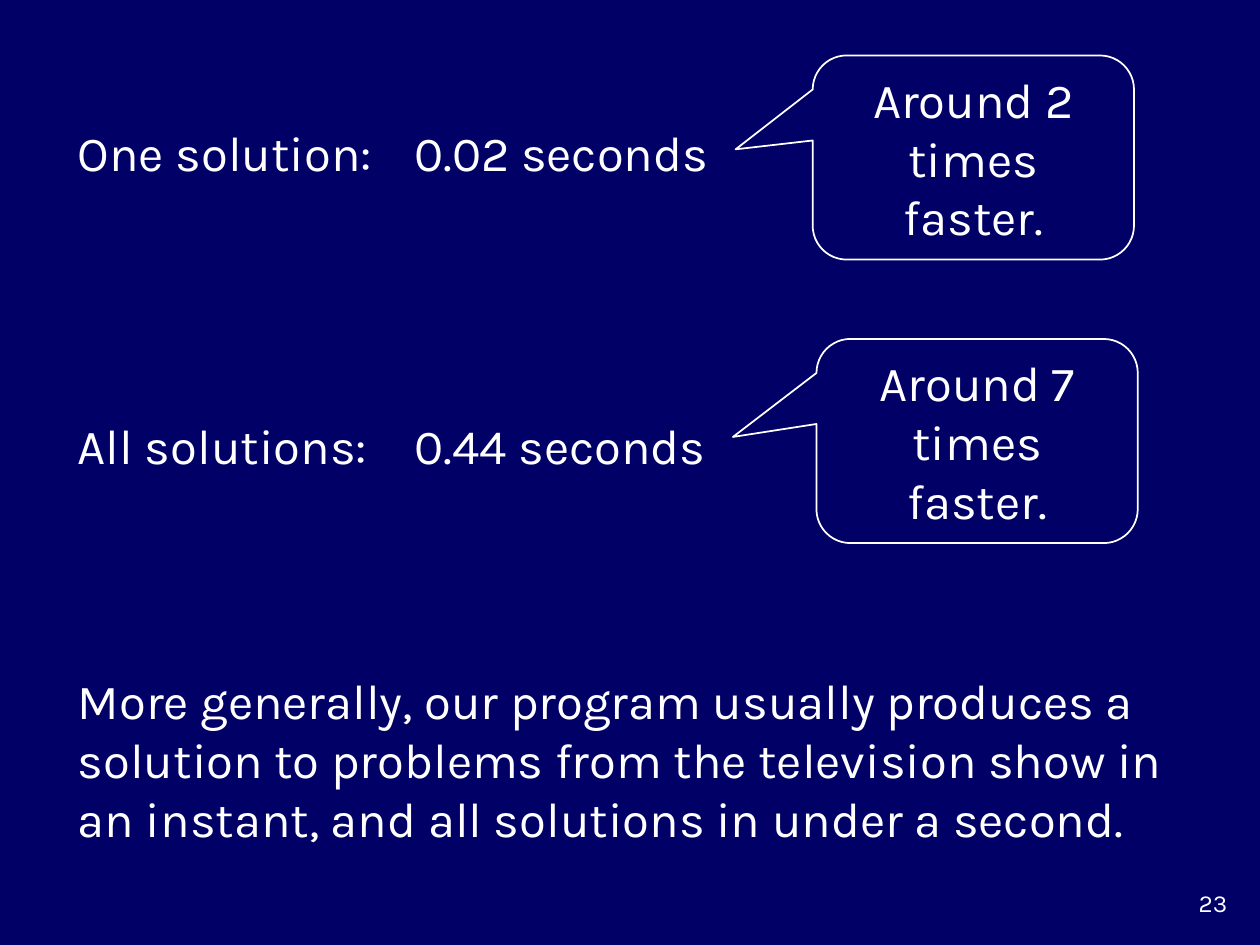
from pptx import Presentation
from pptx.dml.color import RGBColor
from pptx.enum.shapes import MSO_SHAPE
from pptx.enum.text import MSO_ANCHOR, PP_ALIGN
from pptx.util import Inches, Pt

NAVY = RGBColor(0x00, 0x00, 0x66)
WHITE = RGBColor(0xFF, 0xFF, 0xFF)
FONT = "Karla"
BUBBLE = MSO_SHAPE.ROUNDED_RECTANGULAR_CALLOUT
LEFT, CENTER, RIGHT = PP_ALIGN.LEFT, PP_ALIGN.CENTER, PP_ALIGN.RIGHT
TOP, MIDDLE = MSO_ANCHOR.TOP, MSO_ANCHOR.MIDDLE


def write(shape, lines, size=28, align=LEFT, anchor=MIDDLE, gap=0):
    """Fill a shape with one paragraph per line, gap points apart."""
    frame = shape.text_frame
    frame.word_wrap = True
    frame.vertical_anchor = anchor
    frame.text = "\n".join(lines)
    for index, para in enumerate(frame.paragraphs):
        para.alignment = align
        para.space_before = Pt(gap if index else 0)
        para.font.name = FONT
        para.font.size = Pt(size)
        para.font.color.rgb = WHITE


def add_text(slide, box, *lines, **style):
    shape = slide.shapes.add_textbox(*map(Inches, box))
    write(shape, lines, **style)


def add_bubble(slide, left, top, tip, text):
    """Draw a callout; tip is its point, relative to centre and size."""
    shape = slide.shapes.add_shape(
        BUBBLE, Inches(left), Inches(top), Inches(2.55), Inches(1.62))
    shape.adjustments[0], shape.adjustments[1] = tip
    shape.shadow.inherit = False
    shape.fill.background()
    shape.line.color.rgb = WHITE
    shape.line.width = Pt(1)
    write(shape, [text], align=CENTER)


def main():
    deck = Presentation()
    deck.slide_width, deck.slide_height = Inches(10), Inches(7.5)
    slide = deck.slides.add_slide(deck.slide_layouts[6])
    slide.background.fill.solid()
    slide.background.fill.fore_color.rgb = NAVY

    add_text(slide, (0.52, 0.92, 2.66, 2.9),
             "One solution:", "All solutions:", gap=134)
    add_text(slide, (3.19, 0.92, 4.73, 2.9),
             "0.02 seconds", "0.44 seconds", gap=134)
    add_bubble(slide, 6.45, 0.44, (-0.74, -0.04), "Around 2 times faster.")
    add_bubble(slide, 6.48, 2.69, (-0.76, -0.02), "Around 7 times faster.")
    add_text(slide, (0.52, 5.04, 8.94, 1.97),
             "More generally, our program usually produces a solution to "
             "problems from the television show in an instant, and all "
             "solutions in under a second.")
    add_text(slide, (9.17, 7, 0.67, 0.33), "23",
             size=14, align=RIGHT, anchor=TOP)
    deck.save("out.pptx")


if __name__ == "__main__":
    main()
